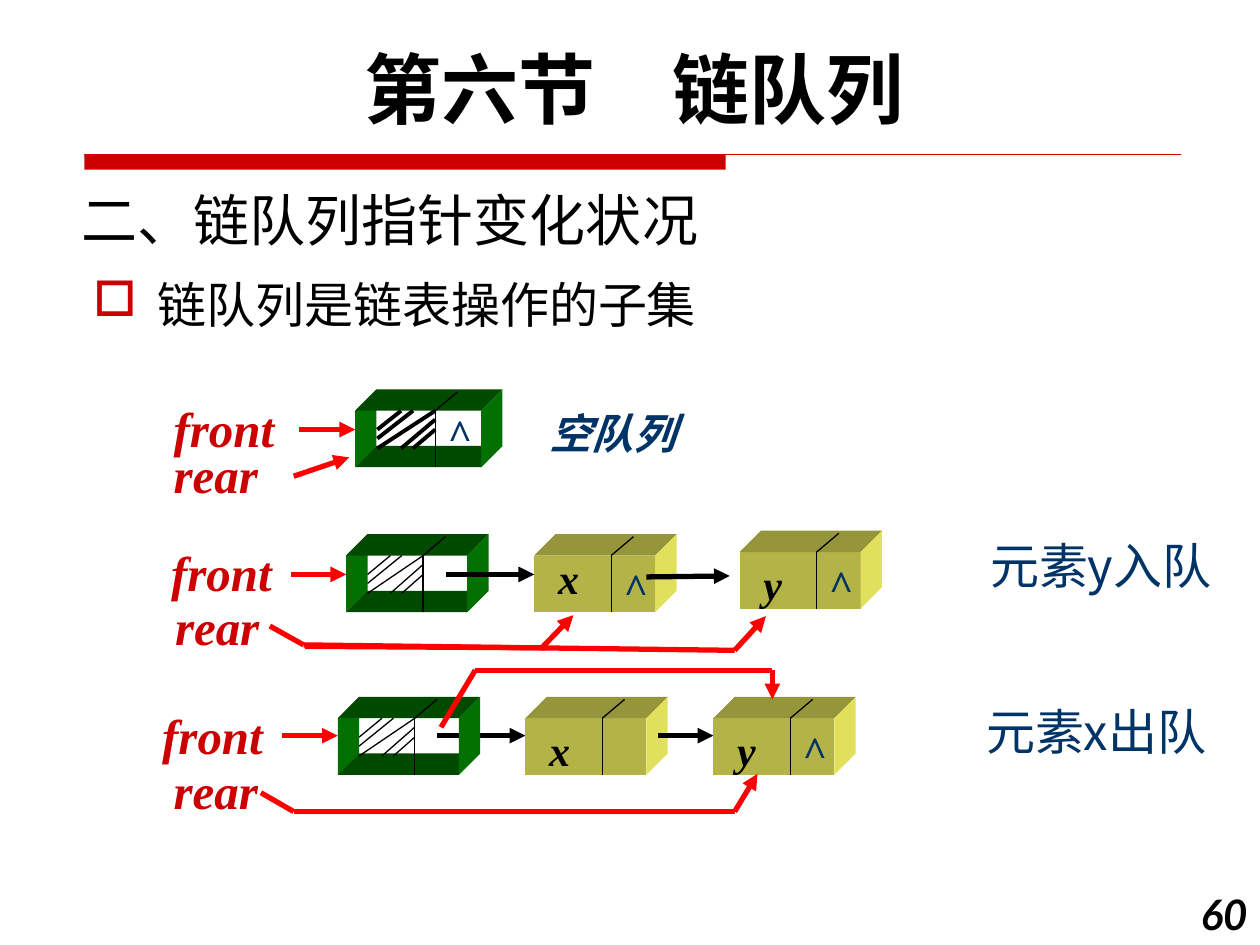
from dataclasses import dataclass
from itertools import pairwise

from lxml.etree import SubElement
from pptx import Presentation
from pptx.dml.color import RGBColor
from pptx.enum.shapes import MSO_CONNECTOR, MSO_SHAPE
from pptx.enum.text import MSO_ANCHOR, PP_ALIGN
from pptx.oxml.ns import qn
from pptx.util import Cm, Pt

COLORS = {
    "black": "000000", "red": "CC0000", "arrow": "FF0000", "navy": "003366",
    "green_dark": "004A00", "green": "007000",
    "olive": "B3B347", "olive_dark": "95953C", "olive_light": "E0E05C",
}
SERIF, SANS, LATO = "Times New Roman", "Noto Sans CJK SC", "Lato"
NODE_WIDTH, NODE_HEIGHT, DEPTH, DIVIDER = 2.44, 1.14, 0.43, 1.55
HATCHES = [
    (1.12, 0, 0.43, 0.56), (1.55, 0.18, 0.89, 0.76), (1.55, 0, 0.43, 0.76),
    (1.55, 0.38, 1.12, 0.76), (0.89, 0, 0.43, 0.38),
]
SYMBOL = {"size": Pt(24), "name": SERIF, "bold": True, "italic": True}
POINTER = SYMBOL | {"size": Pt(28)}
REMARK = {"size": Pt(28), "name": SANS}


@dataclass
class Label:
    text: str
    left: float
    top: float
    width: float
    height: float
    font: dict
    color: str = "black"
    align: PP_ALIGN = PP_ALIGN.LEFT
    anchor: MSO_ANCHOR = MSO_ANCHOR.TOP
    wrap: bool = True


@dataclass
class Node:
    left: float
    top: float
    letter: str = ""
    last: bool = False
    head: bool = False
    width: float = NODE_WIDTH
    hatch_weight: float = 0.75
    letter_shift: float = 0


@dataclass
class Route:
    points: list
    color: str = "arrow"
    arrow: bool = True
    weight: float = 3


LABELS = [
    Label("第六节　链队列", 1.04, 0.71, 23.5, 2.13,
          {"size": Pt(44), "name": LATO, "bold": True}, align=PP_ALIGN.CENTER),
    Label("二、链队列指针变化状况", 1.4, 3.33, 15.88, 1.9,
          {"size": Pt(32), "name": SANS}, anchor=MSO_ANCHOR.BOTTOM),
    Label("front", 3.25, 7.9, 2.79, 1.45, POINTER, "red", wrap=False),
    Label("rear", 3.25, 8.84, 2.51, 1.45, POINTER, "red"),
    Label("front", 3.2, 10.82, 2.79, 1.45, POINTER, "red", wrap=False),
    Label("rear", 3.28, 11.91, 2.44, 1.45, POINTER, "red"),
    Label("front", 3.02, 14.1, 2.79, 1.45, POINTER, "red", wrap=False),
    Label("rear", 3.25, 15.21, 2.44, 1.45, POINTER, "red"),
    Label("空队列", 10.82, 8.1, 3.33, 1.27, SYMBOL, "navy"),
    Label("元素y入队", 19.71, 10.67, 5.38, 1.45, REMARK, "navy"),
    Label("元素x出队", 19.63, 14.02, 5, 1.45, REMARK, "navy"),
    Label("60", 23.7, 17.78, 1.7, 1.27, SYMBOL | {"name": LATO}, align=PP_ALIGN.RIGHT),
]
NODES = [
    Node(7.16, 8.28, last=True, head=True, width=2.54, hatch_weight=2.25),
    Node(6.98, 11.2, head=True),
    Node(10.77, 11.2, "x", last=True, letter_shift=-0.18),
    Node(14.91, 11.13, "y", last=True),
    Node(6.81, 14.48, head=True),
    Node(10.59, 14.48, "x"),
    Node(14.38, 14.48, "y", last=True),
]
ROUTE_BEHIND = Route([(8.81, 14.83), (10.59, 14.83)], "black")
ROUTES = [
    Route([(6.02, 8.66), (7.16, 8.66)]),
    Route([(5.92, 9.6), (7.04, 9.22)]),
    Route([(5.87, 11.58), (6.98, 11.58)]),
    Route([(8.99, 11.58), (10.77, 11.58)], "black"),
    Route([(13.03, 11.63), (14.71, 11.61)], "black"),
    Route([(5.44, 12.62), (6.12, 13), (14.81, 13.11), (15.44, 12.42)]),
    Route([(6.15, 13.03), (11.02, 13.06)], arrow=False),
    Route([(10.9, 13.08), (11.56, 12.4)]),
    Route([(5.69, 14.83), (6.81, 14.83)]),
    Route([(13.26, 14.83), (14.38, 14.83)], "black"),
    Route([(5.26, 15.98), (5.92, 16.36), (14.81, 16.36), (15.27, 15.6)]),
    Route([(8.89, 14.66), (9.58, 13.51), (15.57, 13.51), (15.57, 14.1)]),
]


def rgb(name: str) -> RGBColor:
    return RGBColor.from_string(COLORS[name])


def set_values(target, values: dict) -> None:
    for name, value in values.items():
        setattr(target, name, value)


def add_label(slide, label: Label):
    box = slide.shapes.add_textbox(
        Cm(label.left), Cm(label.top), Cm(label.width), Cm(label.height))
    set_values(box.text_frame, {"word_wrap": label.wrap, "vertical_anchor": label.anchor})
    paragraph = box.text_frame.paragraphs[0]
    paragraph.alignment = label.align
    run = paragraph.add_run()
    run.text = label.text
    set_values(run.font, label.font)
    run.font.color.rgb = rgb(label.color)
    SubElement(run.font._element, qn("a:ea"), typeface=SANS)
    return paragraph


def add_line(slide, start, end, color="black", weight=0.75, arrow=False) -> None:
    line = slide.shapes.add_connector(
        MSO_CONNECTOR.STRAIGHT, *(Cm(value) for value in (*start, *end)))
    line.line.color.rgb = rgb(color)
    line.line.width = Pt(weight)
    if arrow:
        SubElement(line.line._get_or_add_ln(), qn("a:tailEnd"), type="triangle")
    SubElement(line._element.spPr, qn("a:effectLst"))


def add_route(slide, route: Route) -> None:
    segments = list(pairwise(route.points))
    for index, (start, end) in enumerate(segments, 1):
        add_line(slide, start, end, route.color, route.weight,
                 route.arrow and index == len(segments))


def paint(shape, color: str) -> None:
    shape.shadow.inherit = False
    shape.fill.solid()
    shape.fill.fore_color.rgb = rgb(color)
    shape.line.fill.background()


def add_face(slide, points: list, color: str) -> None:
    corners = [(Cm(x), Cm(y)) for x, y in points]
    builder = slide.shapes.build_freeform(*corners[0])
    builder.add_line_segments(corners[1:], close=True)
    paint(builder.convert_to_shape(), color)


def add_node(slide, node: Node) -> None:
    left, top = node.left, node.top
    right, bottom = left + node.width, top + NODE_HEIGHT
    front = [(left, top), (right, top), (right, bottom), (left, bottom)]
    back = [(x + DEPTH, y - DEPTH) for x, y in front]
    sides = [[front[i], back[i], back[(i + 1) % 4], front[(i + 1) % 4]] for i in range(4)]
    if node.head:
        faces = zip((3, 2, 0, 1), ("green", "green_dark", "green_dark", "green"))
    else:
        add_face(slide, front, "olive")
        faces = zip((0, 1), ("olive_dark", "olive_light"))
    for index, color in faces:
        add_face(slide, sides[index], color)

    scale = node.width / NODE_WIDTH
    divider = left + DIVIDER * scale
    add_line(slide, (divider, top), (divider, bottom))
    add_line(slide, (divider, top), (divider + 0.45, top - 0.38))
    if node.head:
        for x1, y1, x2, y2 in HATCHES:
            add_line(slide, (left + x1 * scale, top + y1),
                     (left + x2 * scale, top + y2), weight=node.hatch_weight)
    if node.letter:
        add_label(slide, Label(node.letter, left + 0.23, top + node.letter_shift,
                               1.12, 1.27, SYMBOL))
    if node.last:
        caret_top = top - 0.18 if node.head else top
        add_label(slide, Label("^", divider, caret_top, 1.12, 1.27, SYMBOL, "navy"))


def add_bullet_line(slide) -> None:
    paragraph = add_label(slide, Label("链队列是链表操作的子集", 1.63, 5.54, 24.33, 1.57, REMARK))
    paragraph.line_spacing = 0.9
    properties = paragraph._p.get_or_add_pPr()
    properties.set("marL", str(Cm(1.3)))
    properties.set("indent", str(Cm(-1.3)))
    bullet_color = SubElement(properties, qn("a:buClr"))
    SubElement(bullet_color, qn("a:srgbClr"), val=COLORS["red"])
    SubElement(properties, qn("a:buChar"), char="□")


def main() -> None:
    presentation = Presentation()
    set_values(presentation, {"slide_width": Cm(25.4), "slide_height": Cm(19.05)})
    slide = presentation.slides.add_slide(presentation.slide_layouts[6])
    bar = slide.shapes.add_shape(MSO_SHAPE.RECTANGLE, Cm(1.7), Cm(3.12), Cm(12.93), Cm(0.3))
    paint(bar, "red")
    add_line(slide, (1.7, 3.12), (23.8, 3.12), "red")
    add_bullet_line(slide)
    add_route(slide, ROUTE_BEHIND)
    for node in NODES:
        add_node(slide, node)
    for route in ROUTES:
        add_route(slide, route)
    for label in LABELS:
        add_label(slide, label)
    presentation.save("out.pptx")


if __name__ == "__main__":
    main()
